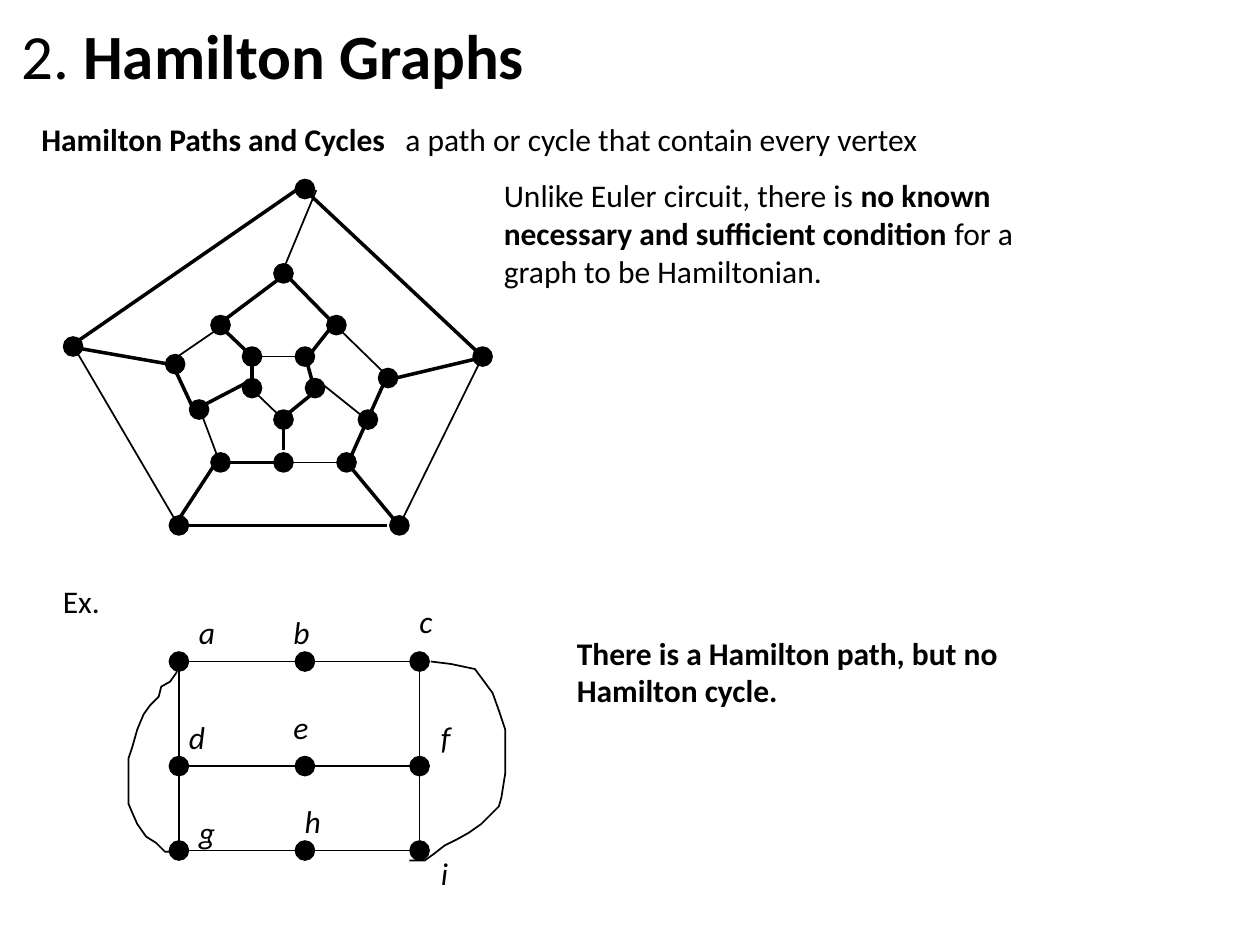
from lxml import etree
from pptx import Presentation
from pptx.dml.color import RGBColor
from pptx.enum.shapes import MSO_CONNECTOR, MSO_SHAPE
from pptx.enum.text import MSO_AUTO_SIZE as AutoSize
from pptx.oxml.ns import qn
from pptx.util import Inches, Pt

BLACK = RGBColor(0, 0, 0)
THIN, THICK = 1, 2
DOT = 0.15

# Edges of the dodecahedron graph: the Hamilton cycle is drawn thick
CYCLE_EDGES = [
    # outer pentagon
    (2.35, 1.51, 0.57, 2.74), (1.43, 4.17, 3.07, 4.17), (3.85, 2.85, 2.4, 1.49),
    # outer pentagon to middle ring
    (0.6, 2.76, 1.4, 2.9), (3.1, 3.01, 3.9, 2.82),
    (2.76, 3.68, 3.15, 4.15), (1.76, 3.6, 1.4, 4.15),
    # middle ring
    (2.26, 2.18, 1.74, 2.57), (1.35, 2.85, 1.57, 3.32), (1.76, 3.67, 2.24, 3.67),
    (2.76, 3.68, 3.07, 2.99), (2.68, 2.6, 2.24, 2.15),
    # middle ring to inner pentagon
    (1.76, 2.6, 1.99, 2.82), (2.43, 2.85, 2.65, 2.57),
    (2.25, 3.35, 2.25, 3.57), (2.01, 3.01, 1.57, 3.24),
    # inner pentagon
    (2.43, 2.85, 2.49, 3.07), (2.51, 3.1, 2.24, 3.32), (2, 3.1, 2, 2.82),
]
OTHER_EDGES = [
    (0.59, 2.76, 1.41, 4.16), (3.17, 4.17, 3.83, 2.83), (2.51, 1.51, 2.24, 2.16),
    (1.59, 3.26, 1.74, 3.66), (1.76, 2.59, 1.41, 2.83), (2.67, 2.59, 3.08, 2.99),
    (2.76, 3.67, 2.24, 3.67), (2.51, 3.01, 2.91, 3.33),
    (2.01, 2.83, 2.41, 2.83), (2.26, 3.34, 1.99, 3.08),
]

# Vertex centres of the dodecahedron graph
OUTER = [(2.42, 1.5), (3.83, 2.83), (3.17, 4.17), (1.42, 4.17), (0.58, 2.75)]
MIDDLE = [(2.25, 2.17), (2.67, 2.58), (3.08, 3), (2.92, 3.33), (2.75, 3.67),
          (2.25, 3.67), (1.75, 3.67), (1.58, 3.25), (1.39, 2.89), (1.75, 2.58)]
INNER = [(2, 2.83), (2.42, 2.83), (2.5, 3.08), (2.25, 3.33), (2, 3.08)]

# Example graph: a 3 by 3 grid with two curved edges
COLUMNS = (1.42, 2.42, 3.33)
ROWS = (5.25, 6.08, 6.75)
LEFT_CURVE = [
    (1.42, 5.25), (1.4, 5.34), (1.35, 5.41), (1.28, 5.45), (1.26, 5.53), (1.19, 5.6),
    (1.14, 5.67), (1.09, 5.79), (1.05, 5.93), (1.02, 6.02), (1.02, 6.38), (1.05, 6.45),
    (1.09, 6.54), (1.16, 6.64), (1.24, 6.69), (1.31, 6.76), (1.38, 6.76), (1.42, 6.75)]
RIGHT_CURVE = [
    (3.42, 5.25), (3.58, 5.27), (3.77, 5.31), (3.91, 5.5), (3.96, 5.64), (4.01, 5.79),
    (4.01, 6.14), (3.98, 6.33), (3.96, 6.4), (3.89, 6.47), (3.82, 6.54), (3.72, 6.61),
    (3.63, 6.66), (3.53, 6.71), (3.44, 6.78), (3.37, 6.83), (3.25, 6.83)]
LABELS = {
    "a": (1.48, 4.82), "b": (2.23, 4.82), "c": (3.23, 4.73),
    "d": (1.4, 5.65), "e": (2.23, 5.57), "f": (3.4, 5.65),
    "g": (1.48, 6.4), "h": (2.32, 6.32), "i": (3.4, 6.73)}


class GraphSlide:
    """Style and drawing methods for the current slide."""

    font_name = "Calibri"
    color = BLACK

    def __init__(self, page):
        self.shapes = page.shapes

    def style_line(self, line, width):
        line.color.rgb = self.color
        line.width = Pt(width)

    def text(self, left, top, width, height, paragraphs, size=18, italic=False):
        """Each paragraph is a list of (text, bold) runs."""
        box = self.shapes.add_textbox(
            Inches(left), Inches(top), Inches(width), Inches(height))
        frame = box.text_frame
        frame.word_wrap = False
        frame.auto_size = AutoSize.SHAPE_TO_FIT_TEXT
        for index, runs in enumerate(paragraphs):
            para = frame.add_paragraph() if index else frame.paragraphs[0]
            for content, bold in runs:
                span = para.add_run()
                span.text = content
                span.font.name = self.font_name
                span.font.size = Pt(size)
                span.font.bold = bold
                span.font.italic = italic
                span.font.color.rgb = self.color

    def edge(self, x1, y1, x2, y2, width=THIN):
        line = self.shapes.add_connector(
            MSO_CONNECTOR.STRAIGHT, Inches(x1), Inches(y1), Inches(x2), Inches(y2))
        self.style_line(line.line, width)
        etree.SubElement(line._element.spPr, qn("a:effectLst"))

    def vertex(self, x, y):
        dot = self.shapes.add_shape(
            MSO_SHAPE.OVAL, Inches(x - DOT / 2), Inches(y - DOT / 2),
            Inches(DOT), Inches(DOT))
        dot.shadow.inherit = False
        dot.fill.solid()
        dot.fill.fore_color.rgb = self.color
        self.style_line(dot.line, THIN)

    def curve(self, points):
        start, *rest = [(Inches(x), Inches(y)) for x, y in points]
        builder = self.shapes.build_freeform(*start)
        builder.add_line_segments(rest, close=False)
        outline = builder.convert_to_shape()
        outline.shadow.inherit = False
        outline.fill.background()
        self.style_line(outline.line, THIN)


def main():
    deck = Presentation()
    deck.slide_width, deck.slide_height = Inches(10), Inches(7.5)
    slide = GraphSlide(deck.slides.add_slide(deck.slide_layouts[6]))

    # Title and definition
    slide.text(0.07, 0.08, 4.35, 0.7,
               [[("2. ", False), ("Hamilton Graphs", True)]], size=36)
    slide.text(0.23, 0.9, 2.95, 0.4, [[("Hamilton Paths and Cycles", True)]])
    slide.text(3.12, 0.9, 5.53, 0.5,
               [[("a path or cycle that contain every vertex", False)]])
    slide.text(3.9, 1.35, 5.79, 1.3, [
        [("Unlike Euler circuit, there is ", False), ("no known", True)],
        [("necessary and sufficient condition", True), (" for a", False)],
        [("graph to be Hamiltonian.", False)]])

    # Dodecahedron graph
    for edge in CYCLE_EDGES:
        slide.edge(*edge, width=THICK)
    for edge in OTHER_EDGES:
        slide.edge(*edge)
    for center in OUTER + MIDDLE + INNER:
        slide.vertex(*center)

    # Example graph
    slide.text(0.4, 4.57, 0.55, 0.4, [[("Ex.", False)]])
    for y in ROWS:
        for x1, x2 in zip(COLUMNS, COLUMNS[1:]):
            slide.edge(x1, y, x2, y)
    for x in (COLUMNS[0], COLUMNS[-1]):
        for y1, y2 in zip(ROWS, ROWS[1:]):
            slide.edge(x, y1, x, y2)
    for y in ROWS:
        for x in COLUMNS:
            slide.vertex(x, y)
    slide.curve(LEFT_CURVE)
    slide.curve(RIGHT_CURVE)
    for name, (left, top) in LABELS.items():
        slide.text(left, top, 0.29 if name in "fi" else 0.36, 0.5,
                   [[(name, False)]], italic=True)

    # Conclusion
    slide.text(4.48, 4.98, 3.63, 0.7, [
        [("There is a Hamilton path, but no", True)], [("Hamilton cycle.", True)]])

    deck.save("out.pptx")


if __name__ == "__main__":
    main()
